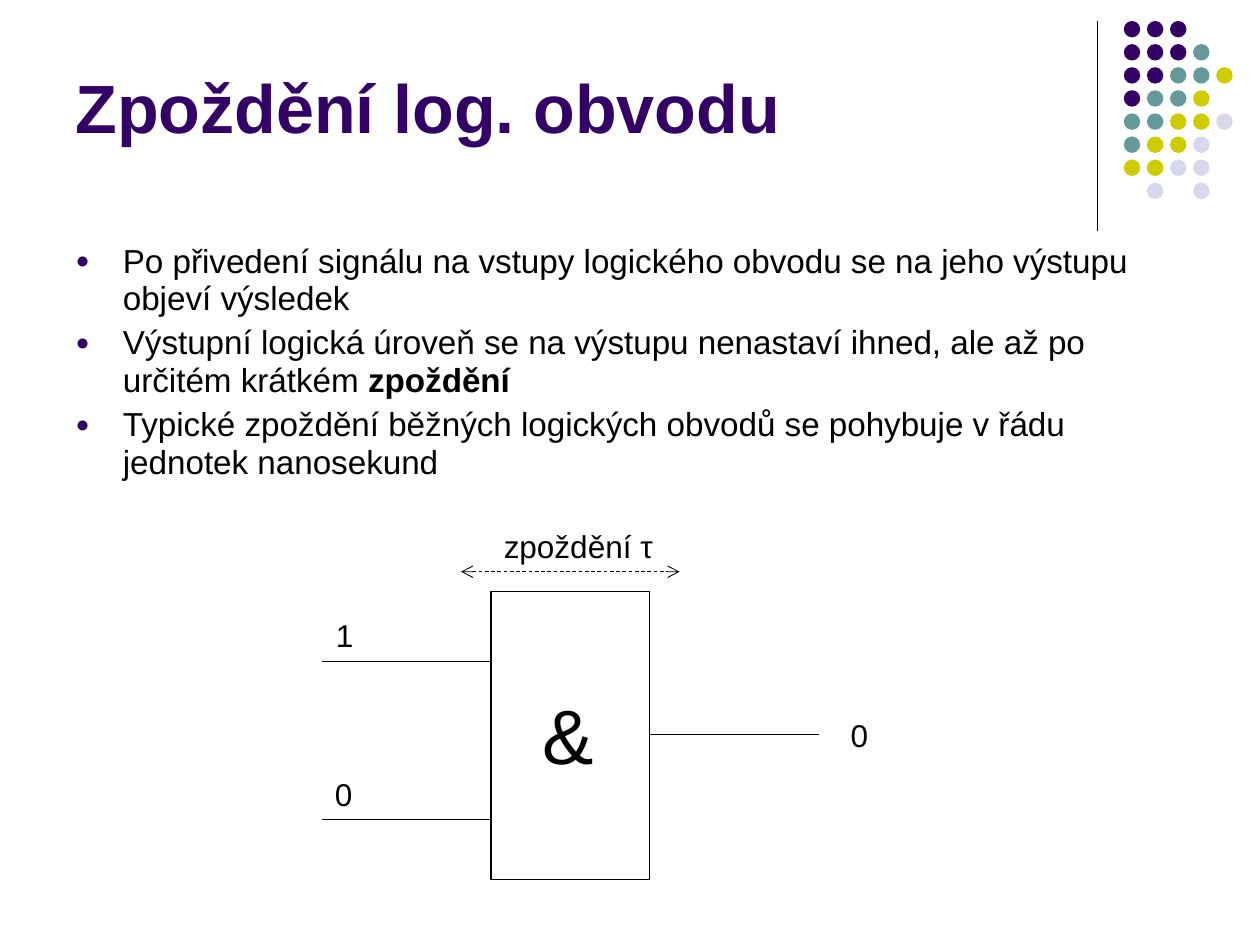
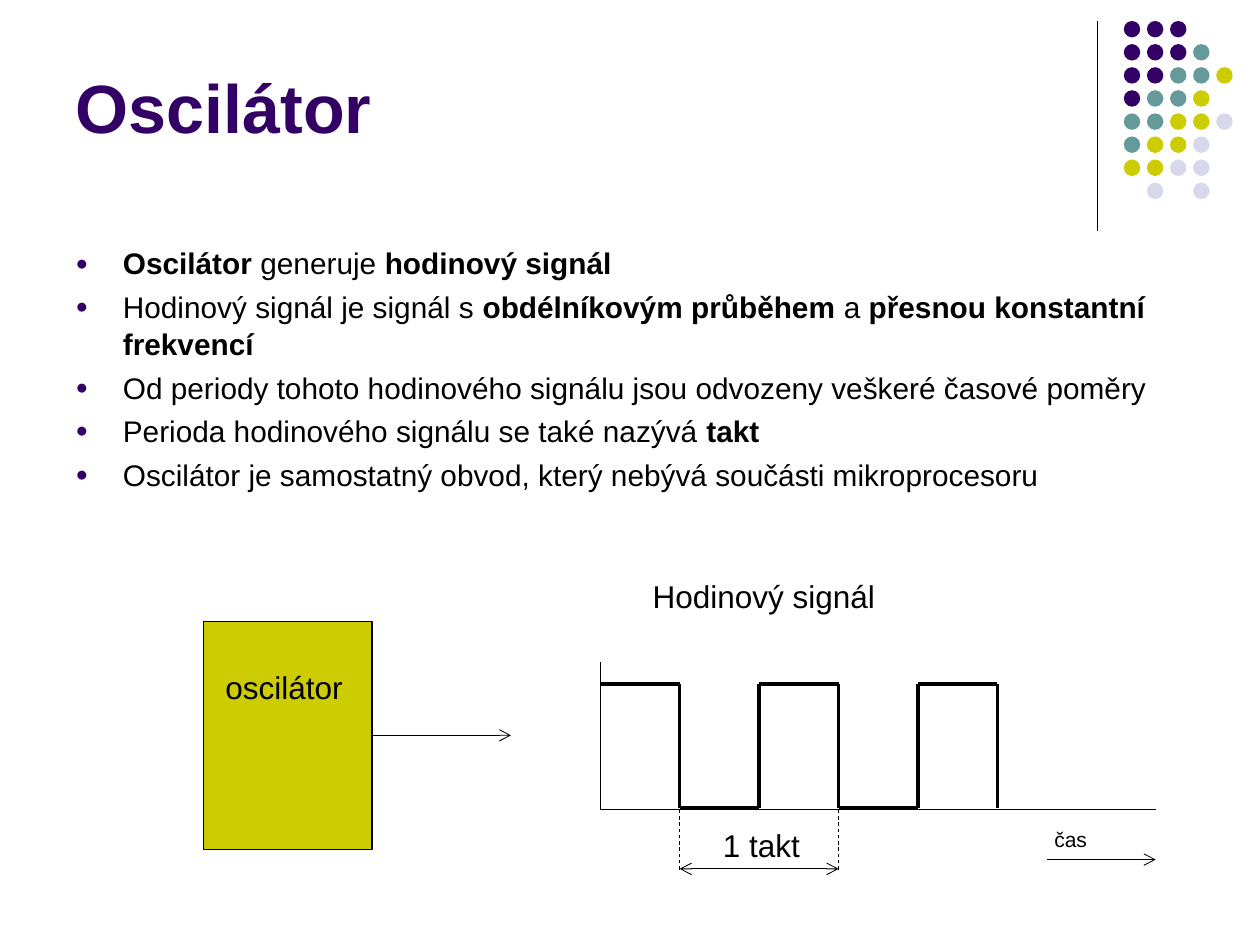
from dataclasses import dataclass

from pptx import Presentation
from pptx.dml.color import RGBColor
from pptx.enum.dml import MSO_LINE
from pptx.enum.shapes import MSO_CONNECTOR, MSO_SHAPE
from pptx.enum.text import MSO_ANCHOR, MSO_AUTO_SIZE, PP_ALIGN
from pptx.oxml.ns import qn
from pptx.oxml.xmlchemy import OxmlElement as Element
from pptx.util import Pt

FONT = "Arial"
BLACK, PURPLE, TEAL, LIME, PALE = "000000", "330066", "669999", "CCCC00", "D8D8EC"

# Corner ornament: one letter per dot, a blank where there is none
DOTS = ["PPP", "PPPT", "PPTTL", "PTTL", "TTLLA", "TLLA", "LLAA", " A A"]
TINTS = {"P": PURPLE, "T": TEAL, "L": LIME, "A": PALE}
DOT, PITCH = 9.4, 13.2


@dataclass
class Line:
    x1: float
    y1: float
    x2: float
    y2: float
    width: float = 0.5
    dash: bool = False
    head: bool = False
    tail: bool = False


@dataclass
class Label:
    text: str
    x: float
    y: float
    w: float
    h: float = 29
    size: float = 18


@dataclass
class Box:
    x: float
    y: float
    w: float
    h: float
    fill: str = ""
    line: str = BLACK
    kind: int = MSO_SHAPE.RECTANGLE


def paint(target, color: str) -> None:
    """Set a font colour, or a fill after solid()."""
    target.rgb = RGBColor.from_string(color)


def add_run(para, text: str, size: float, color: str = BLACK, bold: bool = False) -> None:
    run = para.add_run()
    run.text = text
    font = run.font
    font.name, font.size, font.bold = FONT, Pt(size), bold
    paint(font.color, color)


def add_node(parent, tag: str, **attrs: str):
    node = Element(tag)
    for key, value in attrs.items():
        node.set(key, value)
    parent.append(node)
    return node


def draw_line(slide, item: Line):
    ends = [Pt(v) for v in (item.x1, item.y1, item.x2, item.y2)]
    wire = slide.shapes.add_connector(MSO_CONNECTOR.STRAIGHT, *ends)
    wire.line.width = Pt(item.width)
    paint(wire.line.color, BLACK)
    if item.dash:
        wire.line.dash_style = MSO_LINE.DASH
    props = wire.element.spPr
    stroke = props.find(qn("a:ln"))
    for tag, wanted in (("a:headEnd", item.head), ("a:tailEnd", item.tail)):
        if wanted:
            add_node(stroke, tag, type="arrow")
    add_node(props, "a:effectLst")
    return wire


def draw_label(slide, item: Label) -> None:
    box = slide.shapes.add_textbox(Pt(item.x), Pt(item.y), Pt(item.w), Pt(item.h))
    frame = box.text_frame
    frame.word_wrap = True
    add_run(frame.paragraphs[0], item.text, item.size)


def draw_box(slide, item: Box):
    shape = slide.shapes.add_shape(item.kind, Pt(item.x), Pt(item.y), Pt(item.w), Pt(item.h))
    shape.shadow.inherit = False
    if item.fill:
        shape.fill.solid()
        paint(shape.fill.fore_color, item.fill)
    else:
        shape.fill.background()
    if item.line:
        shape.line.width = Pt(0.75)
        paint(shape.line.color, item.line)
    else:
        shape.line.fill.background()
    return shape


def place(holder, x: float, y: float, w: float, h: float) -> None:
    holder.left, holder.top, holder.width, holder.height = Pt(x), Pt(y), Pt(w), Pt(h)


def set_layout(layout, slide) -> None:
    """Place the placeholders and move the ornament onto the layout."""
    title, body = layout.placeholders[0], layout.placeholders[1]
    place(title, 36, 9.5, 594, 102)
    place(body, 36, 135.4, 648, 347)
    parts = [draw_line(slide, Line(627, 12, 627, 132, 0.75))]
    for row, marks in enumerate(DOTS):
        for col, mark in enumerate(marks):
            if mark in TINTS:
                x, y = 642.2 + col * PITCH, 12 + row * PITCH
                parts.append(draw_box(slide, Box(x, y, DOT, DOT, TINTS[mark], "", MSO_SHAPE.OVAL)))
    for part in parts:
        layout.shapes.element.append(part.element)


def fill_text(slide, title: str, points: list[str], size: float, gap: float) -> None:
    """Write title and list; text between asterisks is bold."""
    frame = slide.shapes.title.text_frame
    frame.auto_size, frame.vertical_anchor = MSO_AUTO_SIZE.NONE, MSO_ANCHOR.MIDDLE
    head = frame.paragraphs[0]
    head.alignment = PP_ALIGN.LEFT
    add_run(head, title, 39, PURPLE, True)

    frame = slide.placeholders[1].text_frame
    frame.auto_size = MSO_AUTO_SIZE.NONE
    for num, point in enumerate(points):
        para = frame.add_paragraph() if num else frame.paragraphs[0]
        para.line_spacing = gap
        props = para._p.get_or_add_pPr()
        tint = add_node(props, "a:buClr")
        add_node(tint, "a:srgbClr", val=PURPLE)
        add_node(props, "a:buSzPct", val="70000")
        add_node(props, "a:buFont", typeface=FONT)
        add_node(props, "a:buChar", char="●")
        for pos, part in enumerate(point.split("*")):
            if part:
                add_run(para, part, size, bold=pos % 2 == 1)


def draw_all(slide, items: list) -> None:
    tools = {Line: draw_line, Label: draw_label, Box: draw_box}
    for item in items:
        tools[type(item)](slide, item)


def clock(x: float, high: float, low: float, step: float, count: int) -> list[Line]:
    """Square wave that starts high and ends with a falling edge."""
    wave = []
    for num in range(count):
        left, right = x + num * step, x + (num + 1) * step
        level = low if num % 2 else high
        wave += [Line(left, level, right, level, 2), Line(right, low, right, high, 2)]
    return wave


deck = Presentation()
deck.slide_width, deck.slide_height = Pt(720), Pt(540)
layout = deck.slide_layouts[1]
delay = deck.slides.add_slide(layout)
set_layout(layout, delay)

# Slide 1: delay of a logic gate
fill_text(delay, "Zpoždění log. obvodu", [
    "Po přivedení signálu na vstupy logického obvodu se na jeho výstupu objeví výsledek",
    "Výstupní logická úroveň se na výstupu nenastaví ihned, ale až po určitém krátkém *zpoždění*",
    "Typické zpoždění běžných logických obvodů se pohybuje v řádu jednotek nanosekund",
], 19, 0.94)
draw_all(delay, [
    Box(280.6, 338, 90.6, 164.6),
    Line(184, 378, 280.6, 378),
    Line(184, 468.4, 280.6, 468.4),
    Line(371.2, 419.8, 468, 419.8),
    Label("&", 303.2, 389.5, 45.4, 60.5, 44),
    Label("0", 184.3, 439.4, 22.5),
    Label("1", 184.9, 348.6, 22.5),
    Label("0", 479, 405.5, 22.5),
    Line(263.5, 326.7, 388.3, 326.7, dash=True, head=True, tail=True),
    Label("zpoždění τ", 280.8, 297.4, 158.4),
])

# Slide 2: oscillator and its clock signal
pulse = deck.slides.add_slide(layout)
fill_text(pulse, "Oscilátor", [
    "*Oscilátor* generuje *hodinový signál*",
    "Hodinový signál je signál s *obdélníkovým průběhem* a *přesnou konstantní frekvencí*",
    "Od periody tohoto hodinového signálu jsou odvozeny veškeré časové poměry",
    "Perioda hodinového signálu se také nazývá *takt*",
    "Oscilátor je samostatný obvod, který nebývá součásti mikroprocesoru",
], 17, 1.05)
START, STEP, AXIS = 343, 45.4, 462.7
fall, next_fall = START + STEP, START + 3 * STEP
draw_all(pulse, [
    Box(116.2, 355, 96.5, 130.3, LIME),
    Label("oscilátor", 121.7, 378, 96.5),
    Line(212.7, 420.2, 292, 420.2, tail=True),
    Label("Hodinový signál", 365.8, 326.2, 147.6),
    Line(START, AXIS, 660.4, AXIS),
    Line(START, AXIS, START, 378),
    *clock(START, 391, 461.5, STEP, 5),
    Line(598.3, 491.2, 660.4, 491.2, tail=True),
    Label("čas", 595.4, 468.7, 65.5, 21.6, 12),
    *[Line(x, 497, x, AXIS, dash=True) for x in (fall, next_fall)],
    Line(fall, 496.5, next_fall, 496.5, head=True, tail=True),
    Label("1 takt", 406, 468.7, 102.2),
])

deck.save("out.pptx")
